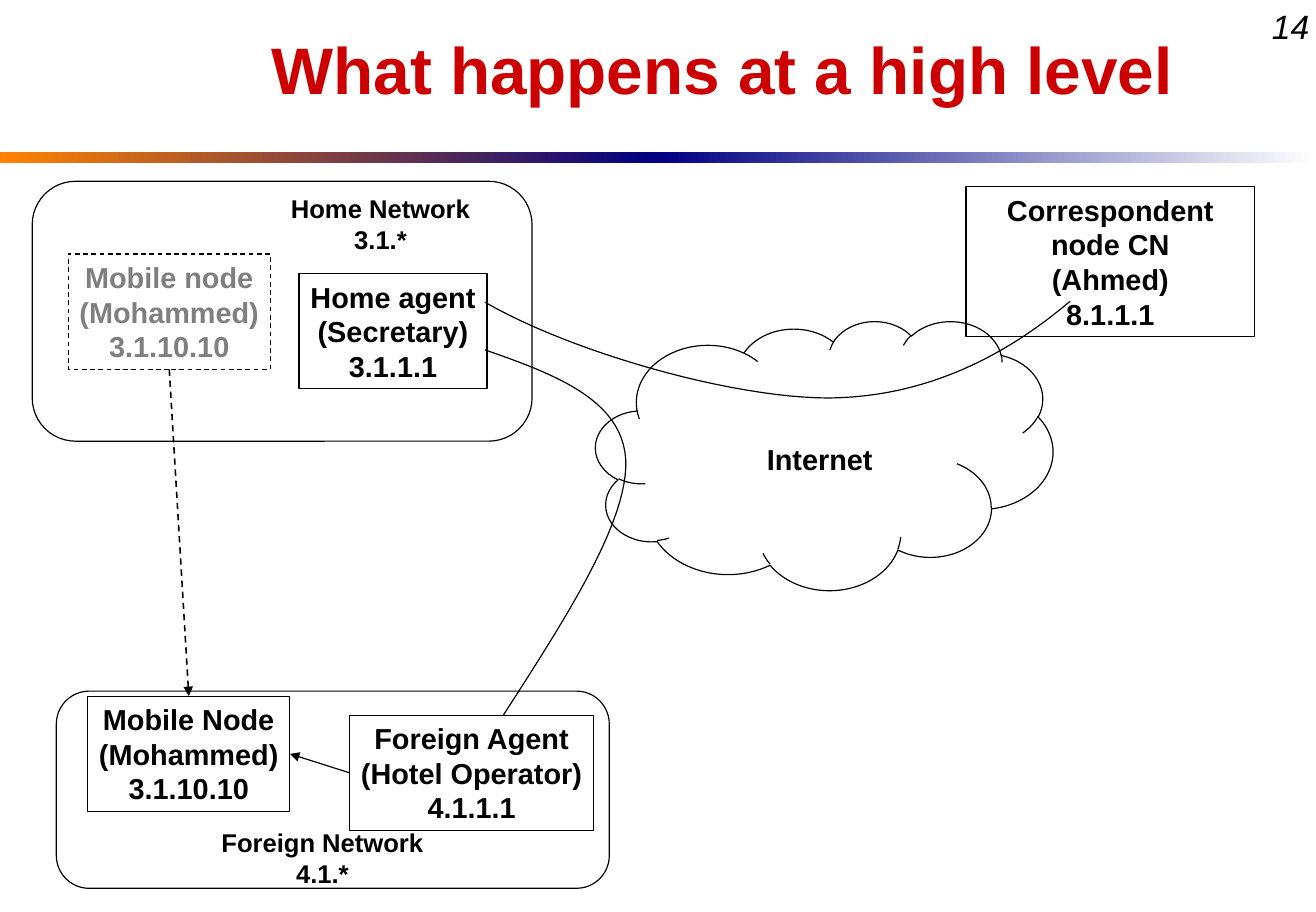
import pptx
import pptx.util
import pptx.dml.color
import pptx.enum.dml
import pptx.enum.shapes
import pptx.enum.text
import pptx.oxml
import pptx.oxml.ns
from lxml import etree

Cm, Pt = pptx.util.Cm, pptx.util.Pt
SHAPE = pptx.enum.shapes.MSO_SHAPE
ALIGN = pptx.enum.text.PP_ALIGN
ANCHOR = pptx.enum.text.MSO_ANCHOR
WIDTH, HEIGHT = 28.96, 20.07
NODE_H = 2.54


def rgb(color):
    return pptx.dml.color.RGBColor.from_string(color)


def set_text(sp, text, size, color="000000", bold=True, italic=False,
             align=ALIGN.CENTER, anchor=ANCHOR.TOP, wrap=False):
    tf = sp.text_frame
    tf.text = text
    tf.word_wrap = wrap
    tf.vertical_anchor = anchor
    for p in tf.paragraphs:
        p.alignment = align
        for r in p.runs:
            font = r.font
            font.name, font.size = "Arial", Pt(size)
            font.bold, font.italic = bold, italic
            font.color.rgb = rgb(color)


def add_label(s, x, y, w, h, text, size, **style):
    sp = s.shapes.add_textbox(Cm(x), Cm(y), Cm(w), Cm(h))
    set_text(sp, text, size, **style)
    return sp


def set_line(sp, width=0.75, dashed=False):
    sp.line.color.rgb = rgb("000000")
    sp.line.width = Pt(width)
    if dashed:
        sp.line.dash_style = pptx.enum.dml.MSO_LINE.DASH


def add_outline(s, kind, x, y, w, h, dashed=False):
    sp = s.shapes.add_shape(kind, Cm(x), Cm(y), Cm(w), Cm(h))
    sp.shadow.inherit = False
    sp.fill.background()
    set_line(sp, dashed=dashed)
    return sp


def add_node(s, x, y, w, text, h=NODE_H, color="000000", dashed=False, wrap=False):
    sp = add_outline(s, SHAPE.RECTANGLE, x, y, w, h, dashed)
    set_text(sp, text, 18, color=color, wrap=wrap)
    return sp


def add_arrow(s, start, start_side, end, end_side, width=0.75, dashed=False):
    c = s.shapes.add_connector(pptx.enum.shapes.MSO_CONNECTOR.STRAIGHT, 0, 0, 0, 0)
    c.begin_connect(start, start_side)
    c.end_connect(end, end_side)
    set_line(c, width, dashed)
    etree.SubElement(c.line._get_or_add_ln(), pptx.oxml.ns.qn("a:tailEnd"), type="triangle")
    etree.SubElement(c._element.spPr, pptx.oxml.ns.qn("a:effectLst"))


def add_curve(s, points, steps=24):
    """Draw chained cubic Bézier segments: a start, then three points per segment."""
    path = [points[0]]
    for i in range(0, len(points) - 1, 3):
        for k in range(1, steps + 1):
            t = k / steps
            weights = ((1 - t) ** 3, 3 * t * (1 - t) ** 2, 3 * t * t * (1 - t), t ** 3)
            path.append(tuple(sum(w * pt[axis] for w, pt in zip(weights, points[i:i + 4]))
                              for axis in (0, 1)))
    path = [(Cm(x), Cm(y)) for x, y in path]
    builder = s.shapes.build_freeform(*path[0])
    builder.add_line_segments(path[1:], close=False)
    sp = builder.convert_to_shape()
    sp.shadow.inherit = False
    sp.fill.background()
    set_line(sp)


def add_header(s, x, y, w):
    half = w / 2
    for i, colors in enumerate((("FF8200", "000082"), ("000082", "FFFFFF"))):
        bar = s.shapes.add_shape(SHAPE.RECTANGLE, Cm(x + i * half), Cm(y + 3.35),
                                 Cm(half), Cm(0.23))
        bar.shadow.inherit = False
        bar.line.fill.background()
        bar.fill.gradient()
        bar.fill.gradient_angle = 0
        for stop, color in zip(bar.fill.gradient_stops, colors):
            stop.color.rgb = rgb(color)
    number = add_label(s, x + w - 1.22, y, 1.22, 1.17, "14", 21, bold=False,
                       italic=True, align=ALIGN.LEFT)
    number.text_frame.margin_right = 0
    title = add_label(s, x + 3.68, y, 24.46, 3.18, "What happens at a high level", 41,
                      color="CC0000", anchor=ANCHOR.MIDDLE, wrap=True)
    title.text_frame.paragraphs[0].line_spacing = 0.93


def add_home_network(s, x, y, w, h):
    add_outline(s, SHAPE.ROUNDED_RECTANGLE, x, y, w, h)
    add_label(s, x + 5.44, y + 0.13, 4.45, 1.63, "Home Network\n3.1.*", 16)
    add_node(s, x + 5.87, y + 2.03, 4.14, "Home agent\n(Secretary)\n3.1.1.1")
    return add_node(s, x + 0.79, y + 1.6, 4.45, "Mobile node\n(Mohammed)\n3.1.10.10",
                    color="7F7F7F", dashed=True)


def add_foreign_network(s, x, y, w, h):
    add_outline(s, SHAPE.ROUNDED_RECTANGLE, x, y, w, h)
    add_label(s, x + 3.38, y + 2.87, 4.95, 1.63, "Foreign Network\n4.1.*", 16)
    agent = add_node(s, x + 6.46, y + 0.53, 5.36, "Foreign Agent\n(Hotel Operator)\n4.1.1.1")
    mobile = add_node(s, x + 0.69, y + 0.11, 4.45, "Mobile Node\n(Mohammed)\n3.1.10.10")
    add_arrow(s, agent, 1, mobile, 3)
    return mobile


def add_internet(s, x, y, w, h):
    add_outline(s, SHAPE.CLOUD, x, y, w, h)
    add_label(s, x + 2.93, y + 2.54, 4, 1.02, "Internet", 18)


def add_routes(s):
    """Draw the home agent's routes to the foreign agent and to the correspondent."""
    add_curve(s, [(10.67, 7.7), (12.19, 8.23), (13.69, 8.79), (13.77, 10.11),
                  (13.84, 11.46), (12.45, 13.61), (11.07, 15.75)])
    add_curve(s, [(23.55, 6.63), (22.15, 7.82), (20.4, 8.74), (18.24, 8.76),
                  (16.1, 8.76), (12.57, 7.75), (10.67, 6.65)])


def main():
    prs = pptx.Presentation()
    prs.slide_width, prs.slide_height = Cm(WIDTH), Cm(HEIGHT)
    s = prs.slides.add_slide(prs.slide_layouts[6])
    add_header(s, 0, 0, WIDTH)
    mobile_home = add_home_network(s, 0.71, 3.99, 11, 5.72)
    mobile_away = add_foreign_network(s, 1.24, 15.21, 12.17, 4.34)
    add_internet(s, 13.11, 7.06, 10.06, 5.92)
    add_node(s, 21.26, 4.11, 6.35, "Correspondent node CN\n(Ahmed)\n8.1.1.1",
             h=3.3, wrap=True)
    add_arrow(s, mobile_home, 2, mobile_away, 0, width=1, dashed=True)
    add_routes(s)
    prs.save("out.pptx")


if __name__ == "__main__":
    main()
